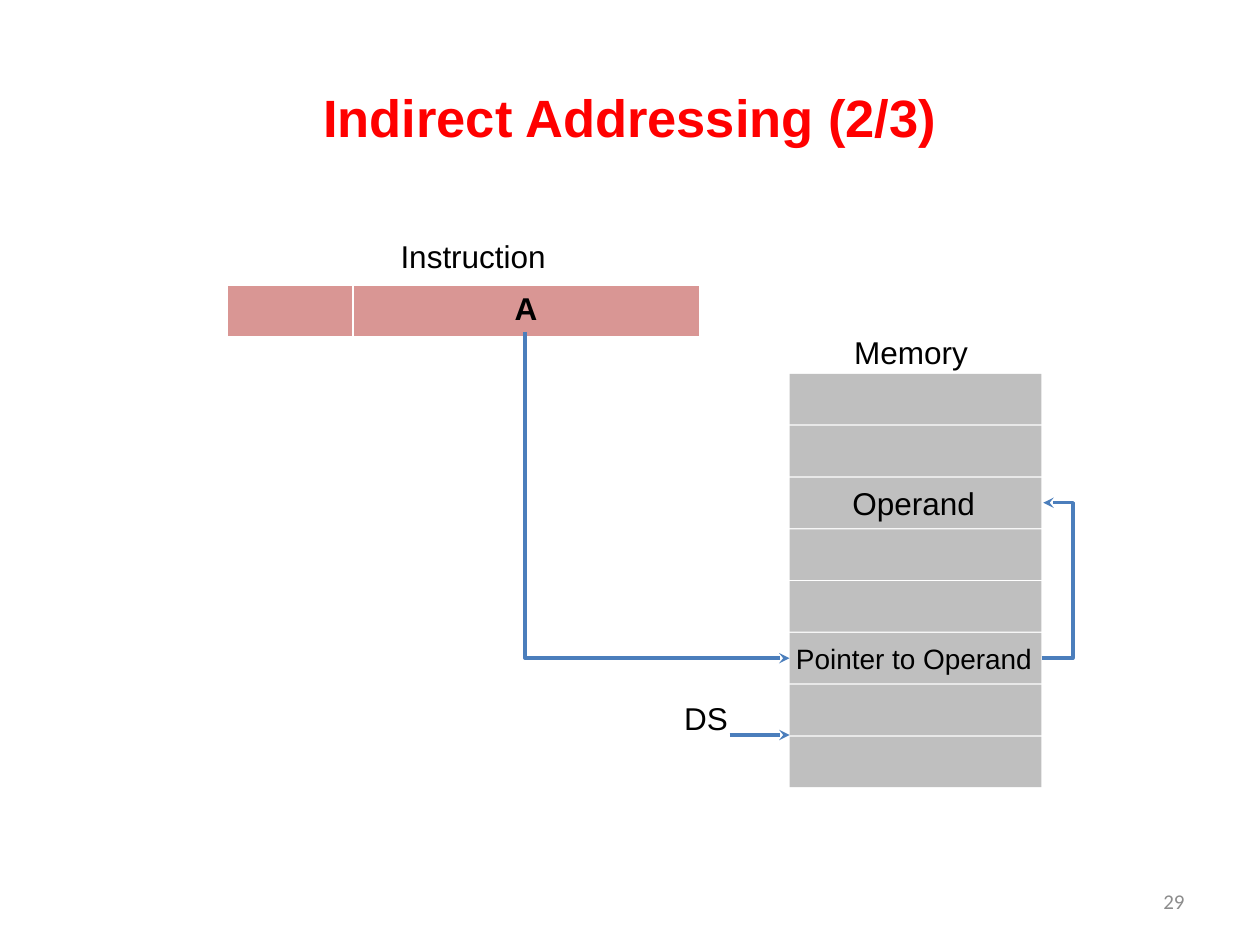
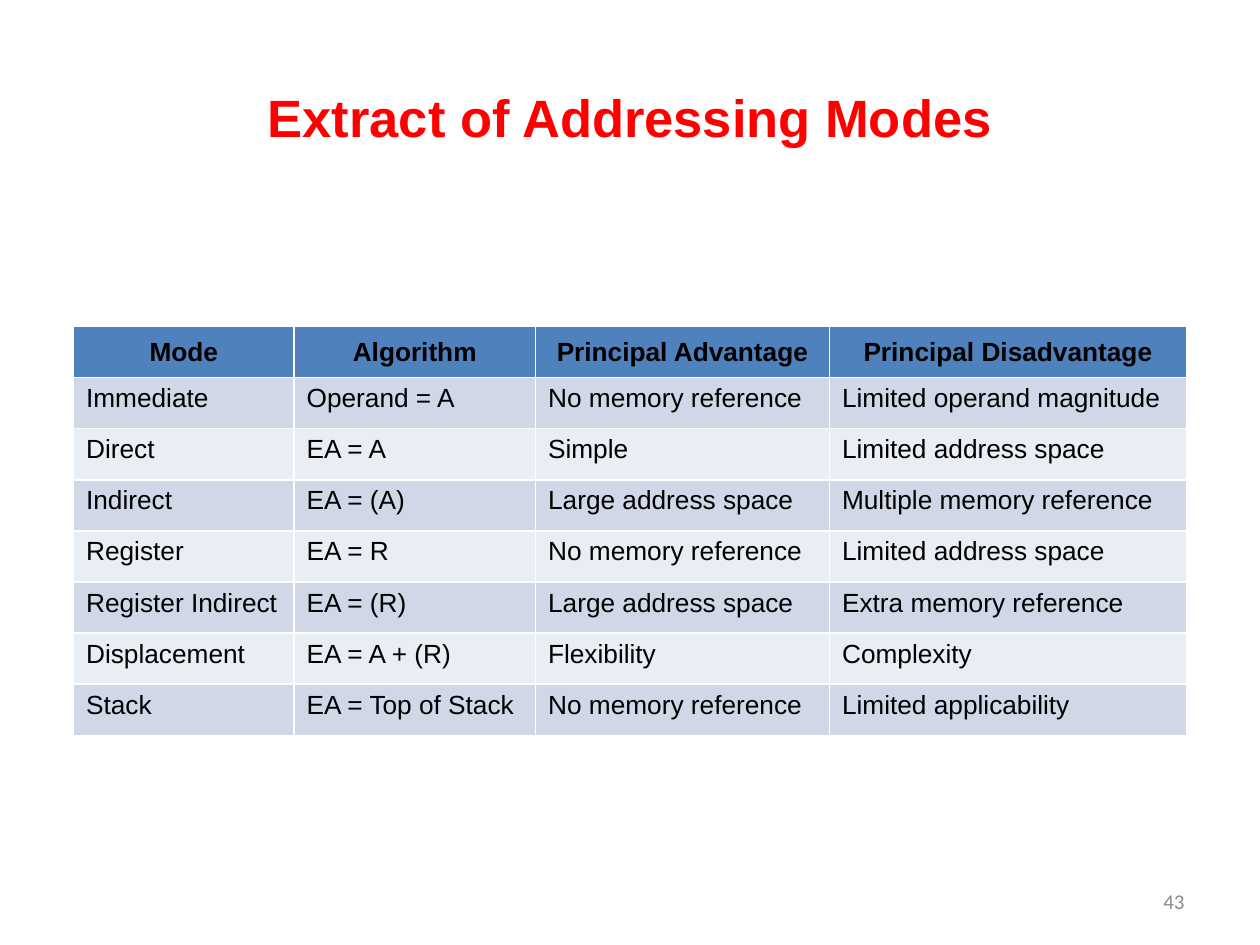
import pptx
import pptx.dml.color
import pptx.enum.shapes
import pptx.enum.text
import pptx.oxml.ns
import pptx.util
from lxml import etree

Pt = pptx.util.Pt
qn = pptx.oxml.ns.qn
ALIGN = pptx.enum.text.PP_ALIGN
ANCHOR = pptx.enum.text.MSO_ANCHOR
AUTO_SIZE = pptx.enum.text.MSO_AUTO_SIZE
CONNECTOR = pptx.enum.shapes.MSO_CONNECTOR

COLOURS = {
    "title": "FF0000",
    "text": "000000",
    "number": "8C8C8C",
    "arrow": "4B7EBC",
    "instruction": "D99694",
    "memory": "BFBFBF",
    "header": "4F81BD",
    "band_dark": "D0D8E8",
    "band_light": "E9EDF4",
}


class Deck:
    """Hold the shared style and the slide being built."""

    def __init__(self):
        self.presentation = pptx.Presentation()
        self.presentation.slide_width = Pt(720)
        self.presentation.slide_height = Pt(540)
        self.slide = None

    def colour(self, name):
        return pptx.dml.color.RGBColor.from_string(COLOURS[name])

    def set_words(self, frame, words, size, bold=False, colour="text", align=ALIGN.LEFT,
                  font="Arial"):
        frame.text = words
        paragraph = frame.paragraphs[0]
        paragraph.alignment = align
        for run in paragraph.runs:
            run.font.name = font
            run.font.size = Pt(size)
            run.font.bold = bold
            run.font.color.rgb = self.colour(colour)

    def text(self, words, left, top, width, height, size, **style):
        frame = self.slide.shapes.add_textbox(Pt(left), Pt(top), Pt(width), Pt(height)).text_frame
        frame.word_wrap = True
        frame.vertical_anchor = ANCHOR.MIDDLE
        self.set_words(frame, words, size, **style)
        return frame

    def label(self, words, left, top, width, height=29, size=18):
        frame = self.text(words, left, top, width, height, size)
        frame.word_wrap = False
        frame.auto_size = AUTO_SIZE.SHAPE_TO_FIT_TEXT
        frame.vertical_anchor = ANCHOR.TOP

    def start(self, title, number):
        self.slide = self.presentation.slides.add_slide(self.presentation.slide_layouts[6])
        self.text(title, 36, 21.6, 648, 90, 30, bold=True, colour="title", align=ALIGN.CENTER)
        self.text(str(number), 516, 500.5, 168, 28.75, 12, colour="number",
                  align=ALIGN.RIGHT, font="Calibri")

    def block(self, left, top, width, height, colour):
        rectangle = self.slide.shapes.add_shape(
            pptx.enum.shapes.MSO_SHAPE.RECTANGLE, Pt(left), Pt(top), Pt(width), Pt(height))
        rectangle.shadow.inherit = False
        rectangle.fill.solid()
        rectangle.fill.fore_color.rgb = self.colour(colour)
        rectangle.line.fill.background()

    def table(self, left, top, widths, row_height, row_count):
        grid = self.slide.shapes.add_table(
            row_count, len(widths), Pt(left), Pt(top),
            Pt(sum(widths)), Pt(row_height * row_count)).table
        for column, width in zip(grid.columns, widths):
            column.width = Pt(width)
        return grid

    def cell(self, cell, words, fill, size, anchor=ANCHOR.TOP, **style):
        cell.fill.solid()
        cell.fill.fore_color.rgb = self.colour(fill)
        cell.vertical_anchor = anchor
        if words:
            self.set_words(cell.text_frame, words, size, **style)

    def arrow(self, start, end, kind=CONNECTOR.STRAIGHT):
        connector = self.slide.shapes.add_connector(kind, *(Pt(value) for value in start + end))
        connector.line.color.rgb = self.colour("arrow")
        connector.line.width = Pt(2)
        properties = connector._element.spPr
        etree.SubElement(properties.find(qn("a:ln")), qn("a:tailEnd"), type="stealth")
        etree.SubElement(properties, qn("a:effectLst"))
        return properties

    def corner_arrow(self, start, end):
        across, down = end[0] - start[0], end[1] - start[1]
        middle_x, middle_y = (start[0] + end[0]) / 2, (start[1] + end[1]) / 2
        properties = self.arrow((middle_x + down / 2, middle_y - across / 2),
                                (middle_x - down / 2, middle_y + across / 2), CONNECTOR.ELBOW)
        properties.find(qn("a:xfrm")).set("rot", str(270 * 60000))
        properties.find(qn("a:prstGeom")).set("prst", "bentConnector2")

    def loop_arrow(self, start, end, reach):
        properties = self.arrow(start, end, CONNECTOR.ELBOW)
        geometry = properties.find(qn("a:prstGeom"))
        adjustments = geometry.find(qn("a:avLst"))
        if adjustments is None:
            adjustments = etree.SubElement(geometry, qn("a:avLst"))
        share = round(reach / (end[0] - start[0]) * 100000)
        etree.SubElement(adjustments, qn("a:gd"), name="adj1", fmla=f"val {share}")


def addressing_diagram(deck):
    deck.start("Indirect Addressing (2/3)", 29)
    instruction = deck.table(129.6, 163, (72, 198), 29.2, 1)
    for column, words in enumerate(("", "A")):
        deck.cell(instruction.cell(0, column), words, "instruction", 18,
                  bold=True, align=ALIGN.CENTER)
    deck.label("Instruction", 221.8, 131.8, 98.6)

    memory_left, memory_top, memory_width, pitch = 451.2, 213.7, 144, 29.6
    for row in range(8):
        deck.block(memory_left, memory_top + row * pitch, memory_width, 28.9, "memory")
    memory_right = memory_left + memory_width
    operand_y, pointer_y = (memory_top + (row + 0.5) * pitch - 0.4 for row in (2, 5))

    deck.label("Memory", 481, 186.5, 80)
    deck.label("Pointer to Operand", 447.8, 363, 151.2, 26.6, 16)
    deck.corner_arrow((300, 189.6), (memory_left, pointer_y))
    deck.label("DS", 383.8, 396, 39.6)
    deck.arrow((417, 420), (memory_left, 420))
    deck.label("Operand", 480, 273, 85)
    deck.loop_arrow((memory_right, pointer_y), (memory_right + 1, operand_y), 18)


def modes_table(deck):
    deck.start("Extract of Addressing Modes", 43)
    modes = (
        ("Mode", "Algorithm", "Principal Advantage", "Principal Disadvantage"),
        ("Immediate", "Operand = A", "No memory reference", "Limited operand magnitude"),
        ("Direct", "EA = A", "Simple", "Limited address space"),
        ("Indirect", "EA = (A)", "Large address space", "Multiple memory reference"),
        ("Register", "EA = R", "No memory reference", "Limited address space"),
        ("Register Indirect", "EA = (R)", "Large address space", "Extra memory reference"),
        ("Displacement", "EA = A + (R)", "Flexibility", "Complexity"),
        ("Stack", "EA = Top of Stack", "No memory reference", "Limited applicability"),
    )
    grid = deck.table(42, 186.6, (126, 138, 168, 204), 29.2, len(modes))
    for row, entries in enumerate(modes):
        for column, words in enumerate(entries):
            cell = grid.cell(row, column)
            if row == 0:
                deck.cell(cell, words, "header", 15, ANCHOR.MIDDLE, bold=True, align=ALIGN.CENTER)
            else:
                deck.cell(cell, words, "band_dark" if row % 2 else "band_light", 15)


deck = Deck()
addressing_diagram(deck)
modes_table(deck)
deck.presentation.save("out.pptx")
